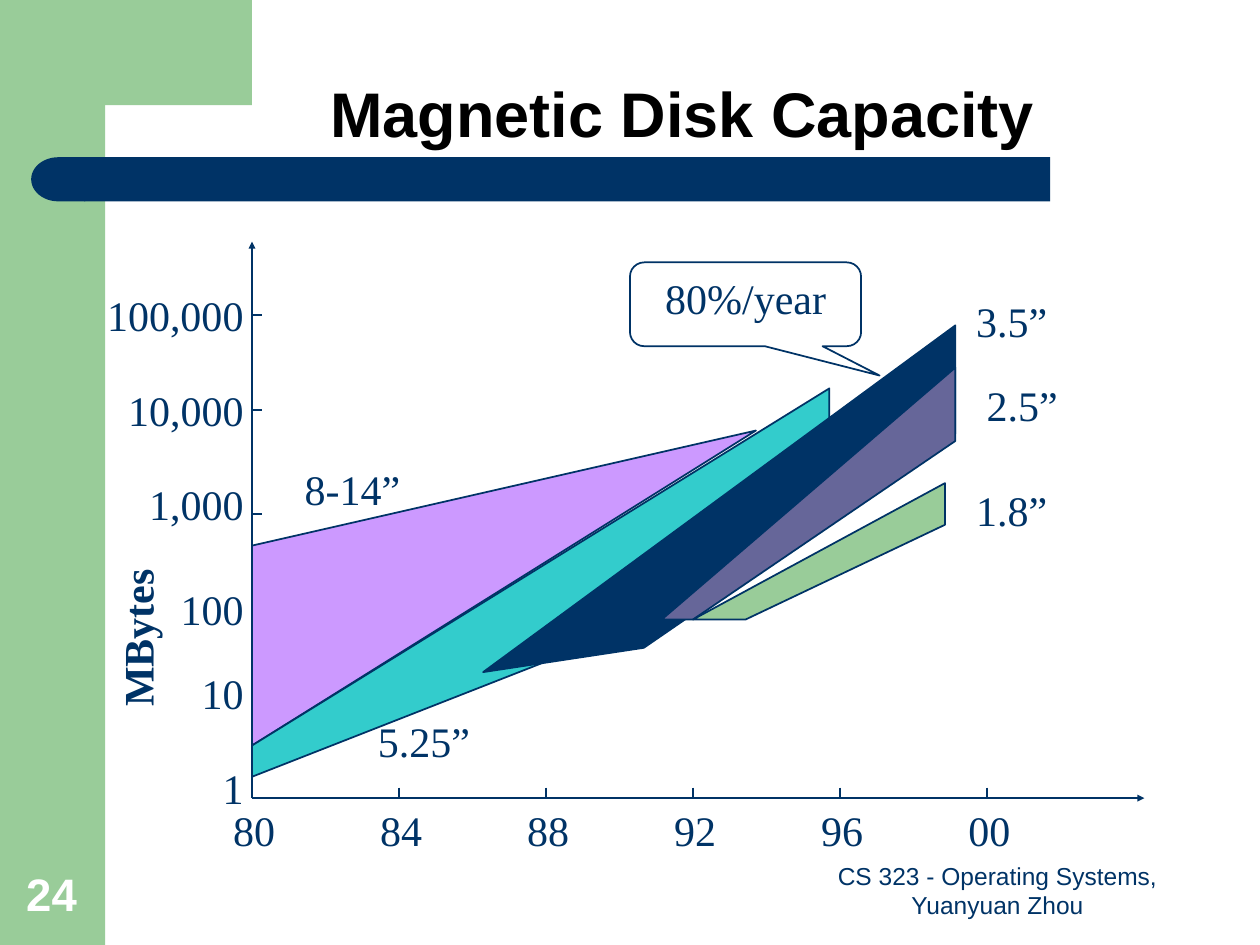
import lxml.etree
import pptx
import pptx.dml.color
import pptx.enum.shapes
import pptx.enum.text
import pptx.oxml.ns
import pptx.util

Cm = pptx.util.Cm
Shape = pptx.enum.shapes.MSO_SHAPE
Align = pptx.enum.text.PP_ALIGN
Anchor = pptx.enum.text.MSO_ANCHOR
AutoSize = pptx.enum.text.MSO_AUTO_SIZE
qn = pptx.oxml.ns.qn
color = pptx.dml.color.RGBColor.from_string
NAVY, GREEN, WHITE = "003366", "99CC99", "FFFFFF"


def paint(shape, fill, outline=None):
    shape.shadow.inherit = False
    shape.fill.solid()
    shape.fill.fore_color.rgb = color(fill)
    if outline:
        shape.line.color.rgb = color(outline)
        shape.line.width = pptx.util.Pt(1)
    else:
        shape.line.fill.background()


def write(shape, content, size=24, font="Times New Roman", ink=NAVY, bold=False,
          align=Align.LEFT, anchor=Anchor.TOP, wrap=False, spacing=None):
    frame = shape.text_frame
    frame.word_wrap = wrap
    frame.auto_size = AutoSize.NONE if wrap else AutoSize.SHAPE_TO_FIT_TEXT
    frame.vertical_anchor = anchor
    paragraph = frame.paragraphs[0]
    paragraph.text = content
    paragraph.alignment = align
    paragraph.line_spacing = spacing
    paragraph.font.size = pptx.util.Pt(size)
    paragraph.font.name = font
    paragraph.font.bold = bold
    paragraph.font.color.rgb = color(ink)


deck = pptx.Presentation()
deck.slide_width, deck.slide_height = Cm(25.4), Cm(19.05)
shapes = deck.slides.add_slide(deck.slide_layouts[6]).shapes

sidebar = shapes.add_shape(Shape.RECTANGLE, 0, 0, Cm(2.12), Cm(19.05))
paint(sidebar, GREEN)

origin_x, origin_y, tick = 5.08, 16.09, 0.21
year_step = 14.82 / 5
axes = [(origin_x, origin_y, 23.07, origin_y), (origin_x, origin_y, origin_x, 4.87)]
capacity_ticks = [(origin_x, y, origin_x + tick, y) for y in (14.18, 12.28, 10.37, 8.26, 6.35)]
year_ticks = [(origin_x + i * year_step, origin_y - tick, origin_x + i * year_step, origin_y)
              for i in range(1, 6)]
for ends in axes + capacity_ticks + year_ticks:
    stroke = shapes.add_connector(pptx.enum.shapes.MSO_CONNECTOR.STRAIGHT, *map(Cm, ends))
    stroke.line.color.rgb = color(NAVY)
    stroke.line.width = pptx.util.Pt(1)
    if ends in axes:
        lxml.etree.SubElement(stroke._element.spPr.find(qn("a:ln")), qn("a:tailEnd"),
                              type="triangle", w="sm", len="sm")
    lxml.etree.SubElement(stroke._element.spPr, qn("a:effectLst"))

corner = [(5.08, 0), (5.08, 2.12), (2.06, 2.12), (1.96, 2.16), (1.8, 2.34),
          (1.73, 2.64), (1.7, 2.95), (1.7, 3.25), (1.27, 3.25), (1.27, 0)]
regions = [
    (GREEN, None, corner),
    ("CC99FF", NAVY, [(5.08, 15.03), (5.08, 11), (15.24, 8.68)]),
    ("33CCCC", NAVY, [(5.08, 15.66), (5.08, 15.03), (16.72, 7.83), (16.72, 9.73), (11, 13.34)]),
    (NAVY, NAVY, [(9.74, 13.55), (19.26, 6.56), (19.26, 8.74), (12.98, 13.06)]),
    ("666699", NAVY, [(13.34, 12.49), (19.26, 7.41), (19.26, 8.89), (13.97, 12.49)]),
    (GREEN, NAVY, [(13.97, 12.49), (19.05, 9.74), (19.05, 10.58), (15.03, 12.49)]),
]
for fill, outline, points in regions:
    vertices = [(Cm(x), Cm(y)) for x, y in points]
    region = shapes.build_freeform(*vertices[0])
    region.add_line_segments(vertices[1:], close=True)
    paint(region.convert_to_shape(), fill, outline)

bar = shapes.add_shape(Shape.RECTANGLE, Cm(1.7), Cm(3.17), Cm(19.47), Cm(0.89))
paint(bar, NAVY)
bar_end = shapes.add_shape(Shape.FLOWCHART_DELAY, Cm(0.63), Cm(3.17), Cm(1.09), Cm(0.89))
bar_end._element.spPr.find(qn("a:xfrm")).set("flipH", "1")
paint(bar_end, NAVY)

title = shapes.add_textbox(Cm(2.75), 0, Cm(22.01), Cm(3.18))
write(title, "Magnetic Disk Capacity", size=36, font="Arial", ink="000000", bold=True,
      align=Align.CENTER, anchor=Anchor.BOTTOM, wrap=True, spacing=0.9)

label_height, label_right = 1.27, 5.16
for content, top, width in [("1", 15.24, 0.95), ("10", 13.34, 1.38), ("100", 11.64, 1.82),
                            ("1,000", 9.53, 2.45), ("10,000", 7.62, 2.88),
                            ("100,000", 5.72, 3.3)]:
    capacity = shapes.add_textbox(Cm(label_right - width), Cm(top), Cm(width), Cm(label_height))
    write(capacity, content, align=Align.RIGHT)

for i, content in enumerate(["80", "84", "88", "92", "96", "00"]):
    year = shapes.add_textbox(Cm(4.45 + i * year_step), Cm(origin_y), Cm(1.35), Cm(label_height))
    write(year, content)

unit = shapes.add_textbox(Cm(1.12), Cm(12.22), Cm(3.28), Cm(label_height))
unit.rotation = 270
write(unit, "MBytes", bold=True)

for content, left, top, width in [("1.8”", 19.43, 9.65, 1.98), ("2.5”", 19.64, 7.52, 1.98),
                                  ("3.5”", 19.43, 5.84, 1.98), ("5.25”", 7.37, 14.3, 2.38),
                                  ("8-14”", 5.89, 9.22, 2.45)]:
    diameter = shapes.add_textbox(Cm(left), Cm(top), Cm(width), Cm(label_height))
    write(diameter, content)

growth = shapes.add_shape(Shape.ROUNDED_RECTANGULAR_CALLOUT, Cm(12.7), Cm(5.29), Cm(4.66), Cm(1.69))
for i, adjustment in enumerate([0.58, 0.85, 0.17]):
    growth.adjustments[i] = adjustment
paint(growth, WHITE, NAVY)
write(growth, "80%/year", align=Align.CENTER, wrap=True)

footer = shapes.add_textbox(Cm(16.09), Cm(17.34), Cm(8.04), Cm(1.32))
write(footer, "CS 323 - Operating Systems, Yuanyuan Zhou", size=14, font="Arial",
      align=Align.CENTER, anchor=Anchor.BOTTOM, wrap=True)

page_number = shapes.add_textbox(Cm(0.28), Cm(17.33), Cm(1.63), Cm(1.35))
write(page_number, "24", size=26, font="Arial", ink=WHITE, bold=True,
      anchor=Anchor.BOTTOM, wrap=True)

deck.save("out.pptx")
